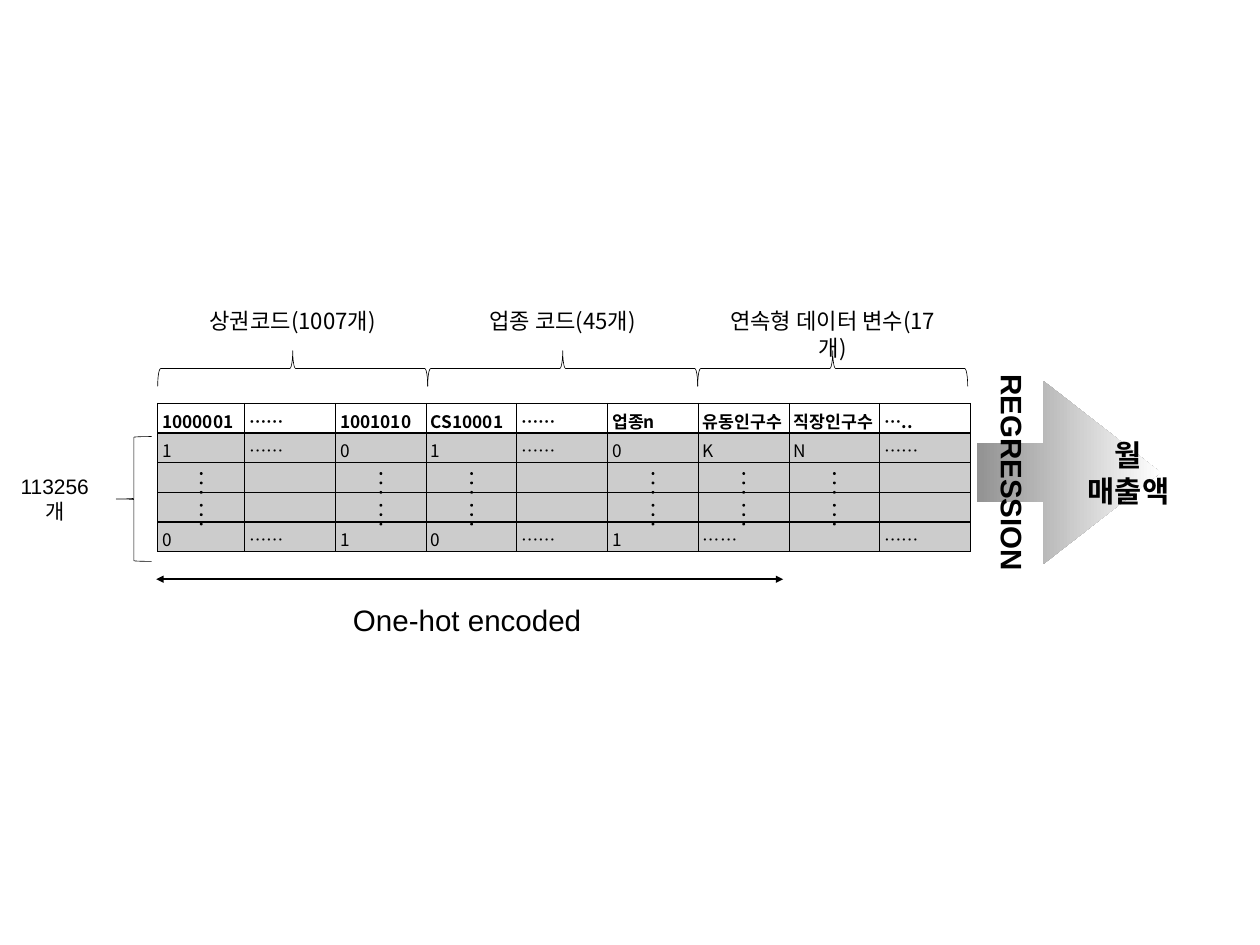
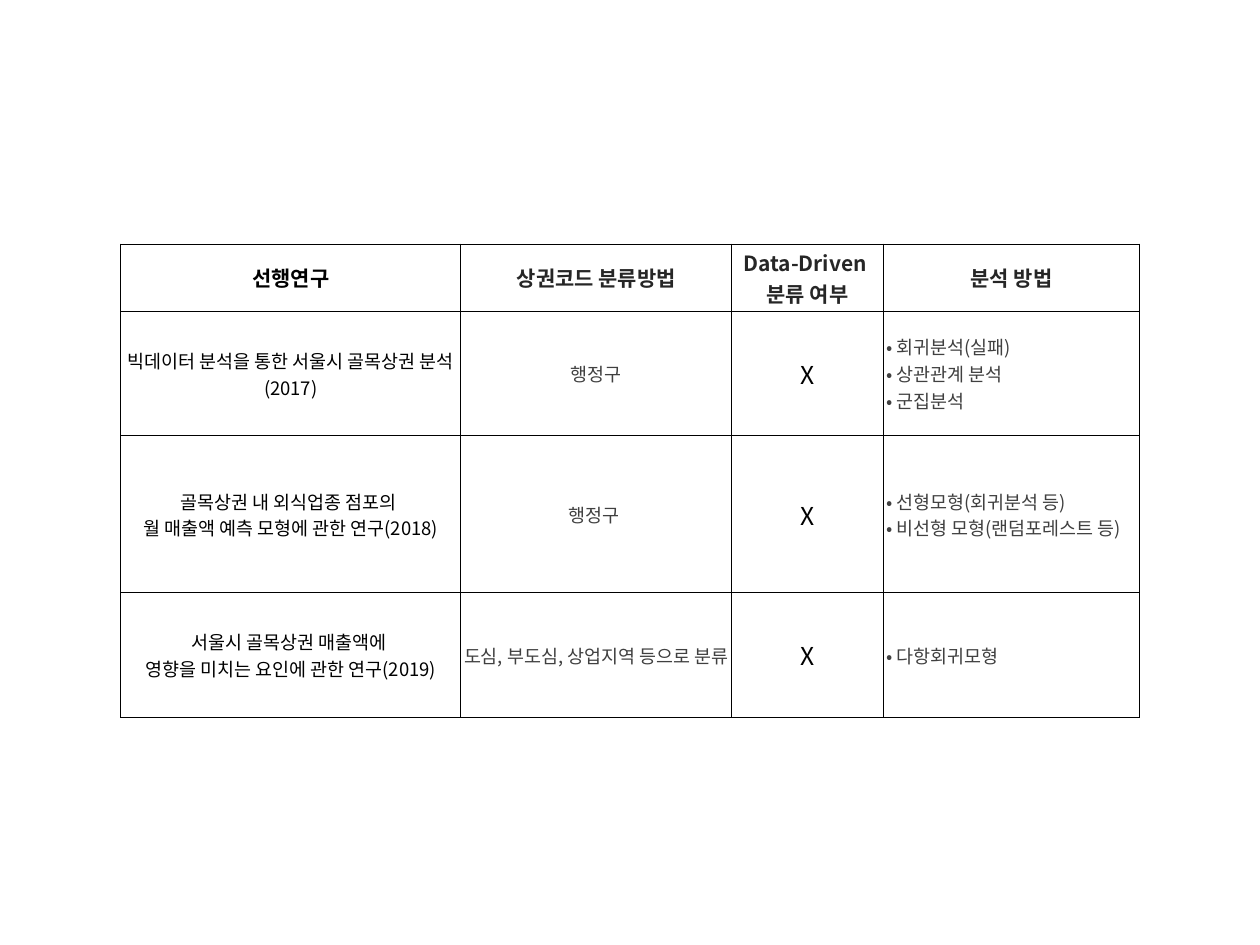
from dataclasses import dataclass

import pptx
import pptx.dml.color
import pptx.enum.shapes
import pptx.enum.text
import pptx.oxml
import pptx.oxml.ns
import pptx.util
from pptx.util import Cm

SHAPES = pptx.enum.shapes.MSO_SHAPE
CENTER = pptx.enum.text.PP_ALIGN.CENTER
LEFT = pptx.enum.text.PP_ALIGN.LEFT
TOP = pptx.enum.text.MSO_ANCHOR.TOP
MIDDLE = pptx.enum.text.MSO_ANCHOR.MIDDLE
qn = pptx.oxml.ns.qn


@dataclass(frozen=True)
class Theme:
    black: str = "000000"
    heading: str = "262626"
    body: str = "404040"
    gray: str = "929292"
    white: str = "FFFFFF"
    latin: str = "Arial"
    korean: str = "Noto Sans CJK KR"
    big: int = 24
    mark: int = 20
    label: int = 18
    head: int = 17
    text: int = 15
    data: int = 14


THEME = Theme()


def rgb(code):
    return pptx.dml.color.RGBColor.from_string(code)


def element(xml):
    """Parse one drawing element, given without its namespace."""
    name, rest = xml[1:].split(" ", 1)
    return pptx.oxml.parse_xml(f"<{name} {pptx.oxml.ns.nsdecls('a')} {rest}")


def write(frame, text, size, color=THEME.black, bold=False, font=THEME.korean, align=CENTER):
    """Fill a text frame; \\n parts paragraphs and \\v breaks a line."""
    frame.text = text
    for paragraph in frame.paragraphs:
        paragraph.alignment = align
        paragraph.font.size = pptx.util.Pt(size)
        paragraph.font.bold = bold
        paragraph.font.color.rgb = rgb(color)
        paragraph.font.name = font
        paragraph._p.pPr.find(qn("a:defRPr")).append(
            element(f'<a:ea typeface="{THEME.korean}"/>'))


def add_label(slide, left, top, width, height, text, size, anchor=MIDDLE, inset=0.15, **style):
    frame = slide.shapes.add_textbox(Cm(left), Cm(top), Cm(width), Cm(height)).text_frame
    frame.word_wrap = True
    frame.vertical_anchor = anchor
    frame.margin_left = frame.margin_right = Cm(inset)
    frame.margin_top = frame.margin_bottom = Cm(inset)
    write(frame, text, size, **style)
    return frame


def add_shape(slide, kind, left, top, width, height):
    shape = slide.shapes.add_shape(kind, Cm(left), Cm(top), Cm(width), Cm(height))
    shape.shadow.inherit = False
    return shape


def add_brace(slide, left, top, width, height):
    brace = add_shape(slide, SHAPES.LEFT_BRACE, left, top, width, height)
    brace.fill.background()
    brace.line.color.rgb = rgb(THEME.black)
    brace.line.width = pptx.util.Pt(0.5)
    return brace


def add_grid(slide, left, top, columns, rows):
    """Add a plain table with the given column widths and row heights."""
    table = slide.shapes.add_table(len(rows), len(columns), Cm(left), Cm(top),
                                   Cm(sum(columns)), Cm(sum(rows))).table
    table.first_row = table.horz_banding = False
    for column, width in zip(table.columns, columns):
        column.width = Cm(width)
    for row, height in zip(table.rows, rows):
        row.height = Cm(height)
    return table


def frame_cell(cell, margins, anchor, top_line=1, bottom_line=1):
    """Set margins (left, top, right, bottom), black borders and no fill."""
    (cell.margin_left, cell.margin_top,
     cell.margin_right, cell.margin_bottom) = map(Cm, margins)
    cell.vertical_anchor = anchor
    properties = cell._tc.get_or_add_tcPr()
    for side, points in zip("LRTB", (1, 1, top_line, bottom_line)):
        properties.append(element(
            f'<a:ln{side} w="{pptx.util.Pt(points)}"><a:solidFill>'
            f'<a:srgbClr val="{THEME.black}"/></a:solidFill></a:ln{side}>'))
    cell.fill.background()


# Slide 1: encoded variables and the regression

COLUMN_WIDTHS = [2.5] + [2.6] * 8
ROW_HEIGHT = 0.85
DOTTED_COLUMNS = (0, 2, 3, 5, 6, 7)
ENCODED_ROWS = [
    ["1000001", "……", "1001010", "CS10001", "……", "업종n", "유동인구수", "직장인구수", "….."],
    ["1", "……", "0", "1", "……", "0", "K", "N", "……"],
    [""] * 9,
    [""] * 9,
    ["0", "……", "1", "0", "……", "1", "……", "", "……"],
]
VARIABLE_GROUPS = ["상권코드(1007개)", "업종 코드(45개)", "연속형 데이터 변수(17개)"]


def add_encoded_table(slide, left, top):
    table = add_grid(slide, left, top, COLUMN_WIDTHS, [ROW_HEIGHT] * len(ENCODED_ROWS))
    for row, texts in enumerate(ENCODED_ROWS):
        for column, text in enumerate(texts):
            cell = table.cell(row, column)
            frame_cell(cell, (0.13, 0.13, 0.13, 0), TOP,
                       top_line=2 if row == 1 else 1, bottom_line=2 if row == 0 else 1)
            if row:
                cell.fill.solid()
                cell.fill.fore_color.rgb = rgb(THEME.black)
                # The fill's own colour, not that of a border
                cell._tc.tcPr.find(qn("a:solidFill"))[0].append(
                    element('<a:alpha val="20000"/>'))
            write(cell.text_frame, text, THEME.data, bold=row == 0, align=LEFT)

    # Vertical ellipses over the two empty rows
    size = 0.08
    for column in DOTTED_COLUMNS:
        middle = left + sum(COLUMN_WIDTHS[:column]) + COLUMN_WIDTHS[column] / 2
        for start in (1.97, 2.88):
            for step in range(3):
                dot = add_shape(slide, SHAPES.OVAL, middle - size / 2,
                                top + start + 0.27 * step, size, size)
                dot.fill.solid()
                dot.fill.fore_color.rgb = rgb(THEME.black)
                dot.line.fill.background()


def add_group_braces(slide, left, top):
    """Braces and labels above the table whose corner is given."""
    length, depth, label_width = 7.74, 1.02, 6.76
    for index, name in enumerate(VARIABLE_GROUPS):
        middle = left + length * (index + 0.5)
        # Placed upright around its centre, then turned to point upward
        brace = add_brace(slide, middle - depth / 2, top - 1 - length / 2, depth, length)
        brace.rotation = 90
        add_label(slide, middle - label_width / 2, top - 2.88, label_width, 1.07,
                  name, THEME.label, anchor=TOP, inset=0.13)


def add_row_count(slide, left, top):
    brace = add_brace(slide, left - 1.19, top + 0.95, 1.02, 3.58)
    brace.adjustments[0] = 0.02
    add_label(slide, left - 4.2, top + 1.94, 2.5, 1.6, "113256개", THEME.head,
              font=THEME.latin)


def add_encoding_span(slide, left, top):
    """Two-headed arrow below the table, with its label."""
    y = Cm(top + 5.04)
    span = slide.shapes.add_connector(pptx.enum.shapes.MSO_CONNECTOR.STRAIGHT,
                                      Cm(left - 0.04), y, Cm(left + 17.93), y)
    span.line.color.rgb = rgb(THEME.black)
    span.line.width = pptx.util.Pt(1.25)
    properties = span._element.spPr
    for end in ("headEnd", "tailEnd"):
        properties.find(qn("a:ln")).append(element(f'<a:{end} type="triangle"/>'))
    properties.append(element("<a:effectLst />"))
    add_label(slide, left + 5.37, top + 5.57, 7, 1.27, "One-hot encoded", THEME.big,
              font=THEME.latin)


def add_regression_arrow(slide, left, top, size):
    arrow = add_shape(slide, SHAPES.RIGHT_ARROW, left, top, size, size)
    arrow.adjustments[0], arrow.adjustments[1] = 0.32, 0.64
    arrow.line.fill.background()
    arrow.fill.gradient()
    arrow.fill.gradient_angle = 0
    for stop, color in zip(arrow.fill.gradient_stops, (THEME.gray, THEME.white)):
        stop.color.rgb = rgb(color)

    middle = top + size / 2
    add_label(slide, left + 2.94, middle - 1, 2.8, 2, "월 매출액", THEME.big,
              bold=True, font=THEME.latin)
    frame = add_label(slide, left + 0.39, middle - 2.97, 1.27, 6, "REGRESSION", THEME.big,
                      bold=True, font=THEME.latin)
    frame._txBody.bodyPr.set("vert", "eaVert")


def add_encoding_slide(slide):
    left, top = 4.52, 11.57
    add_regression_arrow(slide, 28.01, 10.92, 5.26)
    add_encoded_table(slide, left, top)
    add_group_braces(slide, left, top)
    add_row_count(slide, left, top)
    add_encoding_span(slide, left, top)


# Slide 2: comparison of earlier studies

STUDY_HEADINGS = ["선행연구", "상권코드 분류방법", "Data-Driven \n분류 여부", "분석 방법"]
STUDIES = [
    ["빅데이터 분석을 통한 서울시 골목상권 분석\v(2017)", "행정구", "X",
     "회귀분석(실패)\n상관관계 분석\n군집분석"],
    ["골목상권 내 외식업종 점포의 \n월 매출액 예측 모형에 관한 연구(2018)", "행정구 ", "X",
     "선형모형(회귀분석 등)\n비선형 모형(랜덤포레스트 등)"],
    ["서울시 골목상권 매출액에 \v영향을 미치는 요인에 관한 연구(2019)",
     "도심, 부도심, 상업지역 등으로 분류", "X", "다항회귀모형"],
]
STUDY_STYLES = [
    dict(size=THEME.text),
    dict(size=THEME.text, color=THEME.body),
    dict(size=THEME.mark),
    dict(size=THEME.text, color=THEME.body, align=LEFT),
]


def add_bullets(frame):
    for paragraph in frame.paragraphs:
        properties = paragraph._p.get_or_add_pPr()
        properties.set("marL", str(Cm(0.3)))
        properties.set("indent", str(-Cm(0.3)))
        properties.insert(0, element(f'<a:buFont typeface="{THEME.korean}"/>'))
        properties.insert(1, element('<a:buChar char="•"/>'))


def add_study_table(slide, left, top):
    table = add_grid(slide, left, top, [9.75, 7.77, 4.34, 7.35], [1.93, 3.57, 4.5, 3.58])
    for row, texts in enumerate([STUDY_HEADINGS] + STUDIES):
        for column, text in enumerate(texts):
            cell = table.cell(row, column)
            frame_cell(cell, (0.08,) * 4, MIDDLE)
            if row == 0:
                color = THEME.heading if column else THEME.black
                write(cell.text_frame, text, THEME.head, color, bold=True)
                continue
            write(cell.text_frame, text, **STUDY_STYLES[column])
            if column == 3:
                add_bullets(cell.text_frame)


def main():
    presentation = pptx.Presentation()
    presentation.slide_width, presentation.slide_height = Cm(36.12), Cm(27.1)
    blank = presentation.slide_layouts[6]
    add_encoding_slide(presentation.slides.add_slide(blank))
    add_study_table(presentation.slides.add_slide(blank), 3.46, 7)
    presentation.save("out.pptx")


if __name__ == "__main__":
    main()
